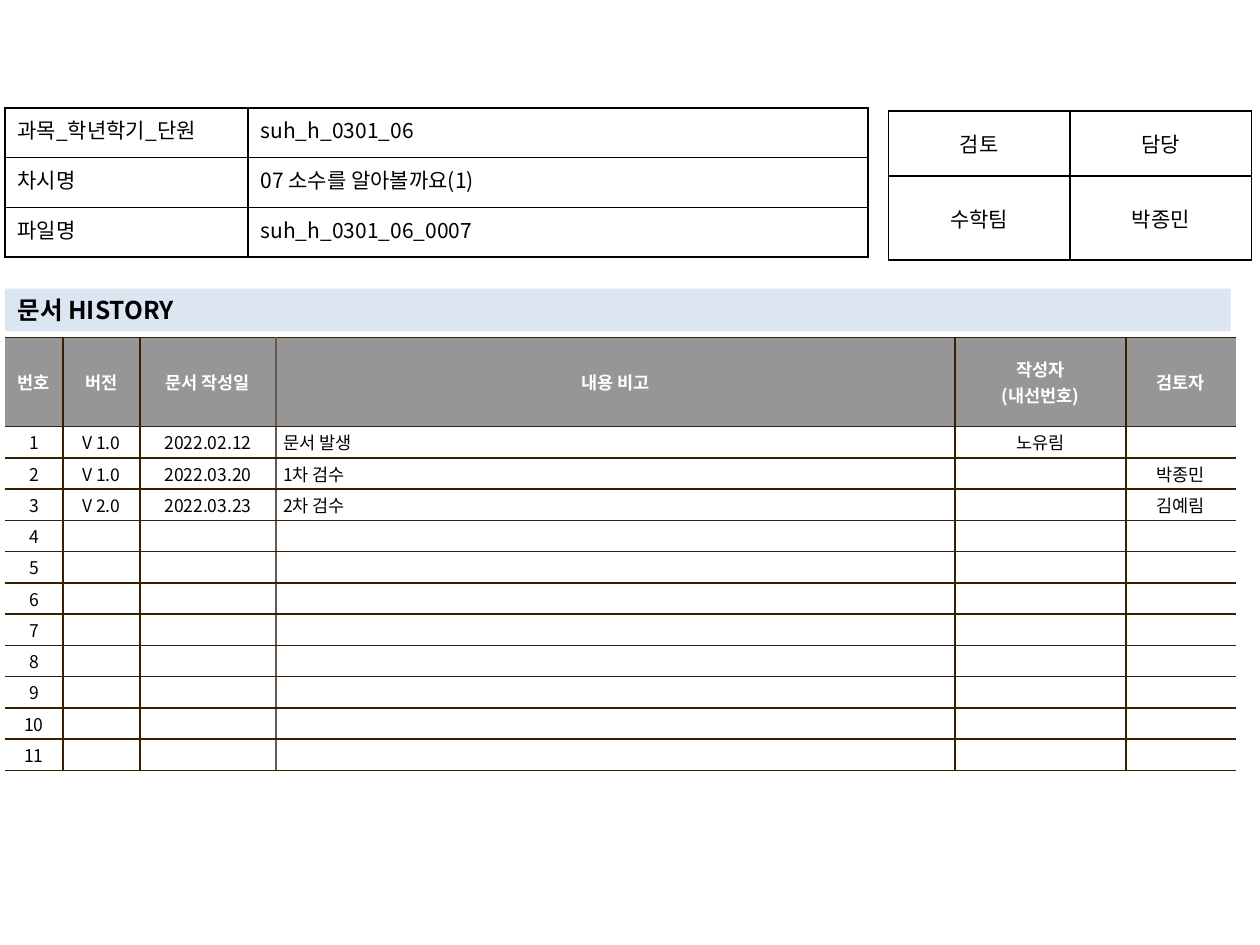
from lxml.etree import SubElement
from pptx import Presentation
from pptx.dml.color import RGBColor
from pptx.enum.text import MSO_ANCHOR, MSO_AUTO_SIZE, PP_ALIGN
from pptx.oxml import parse_xml
from pptx.oxml.ns import nsdecls, qn
from pptx.util import Cm, Pt

FONT = "Noto Sans CJK KR"
BLACK, WHITE, GRAY, PALE_BLUE = "000000", "FFFFFF", "969696", "DCE6F2"
BROWN, LIGHT_BROWN = "362000", "645B4C"

HISTORY = [
    ["번호", "버전", "문서 작성일", "내용 비고", "작성자\n(내선번호)", "검토자"],
    ["1", "V 1.0", "2022.02.12", "문서 발생", "노유림", ""],
    ["2", "V 1.0", "2022.03.20", "1차 검수", "", "박종민"],
    ["3", "V 2.0", "2022.03.23", "2차 검수", "", "김예림"],
] + [[str(number), "", "", "", "", ""] for number in range(4, 12)]


def color(hex_value):
    return RGBColor.from_string(hex_value)


def write(frame, text, size, ink=BLACK, bold=False, align=PP_ALIGN.LEFT):
    frame.text = text
    for paragraph in frame.paragraphs:
        paragraph.alignment = align
        for run in paragraph.runs:
            run.font.size, run.font.bold = Pt(size), bold
            run.font.name = FONT
            run.font.color.rgb = color(ink)
            SubElement(run.font._element, qn("a:ea"), typeface=FONT)
        if not paragraph.runs:
            SubElement(paragraph._p, qn("a:endParaRPr"), sz=str(size * 100))


def set_borders(cell, left, right, top, bottom):
    properties = cell._tc.get_or_add_tcPr()
    for index, (side, ink) in enumerate(zip("LRTB", (left, right, top, bottom))):
        paint = (f'<a:solidFill><a:srgbClr val="{ink}"/></a:solidFill>'
                 if ink else "<a:noFill/>")
        properties.insert(index, parse_xml(
            f'<a:ln{side} {nsdecls("a")} w="12700">{paint}</a:ln{side}>'))


def add_grid(slide, left, top, widths, heights):
    grid = slide.shapes.add_table(
        len(heights), len(widths), Cm(left), Cm(top),
        Cm(sum(widths)), Cm(sum(heights))).table
    grid.first_row = grid.horz_banding = False
    for column, width in zip(grid.columns, widths):
        column.width = Cm(width)
    for row, height in zip(grid.rows, heights):
        row.height = Cm(height)
    return grid


def add_label_table(slide, left, top, widths, heights, texts, aligns, anchor):
    grid = add_grid(slide, left, top, widths, heights)
    for row, row_texts in enumerate(texts):
        for column, text in enumerate(row_texts):
            cell = grid.cell(row, column)
            cell.fill.background()
            cell.vertical_anchor = anchor
            write(cell.text_frame, text, 12, align=aligns[column])
            set_borders(cell, *[BLACK] * 4)


def add_history_heading(slide, left, top, width, height):
    heading = slide.shapes.title
    heading.left, heading.top = Cm(left), Cm(top)
    heading.width, heading.height = Cm(width), Cm(height)
    heading.fill.solid()
    heading.fill.fore_color.rgb = color(PALE_BLUE)
    frame = heading.text_frame
    frame.auto_size = MSO_AUTO_SIZE.NONE
    frame.word_wrap = True
    frame.vertical_anchor = MSO_ANCHOR.MIDDLE
    write(frame, "문서 HISTORY", 14, bold=True)


def add_history_table(slide, left, top, widths, header_height, row_height):
    heights = [header_height] + [row_height] * (len(HISTORY) - 1)
    grid = add_grid(slide, left, top, widths, heights)
    dividers = [None, BROWN, BROWN, LIGHT_BROWN, BROWN, BROWN, None]
    note_column = 3
    for row, entry in enumerate(HISTORY):
        header = row == 0
        for column, text in enumerate(entry):
            cell = grid.cell(row, column)
            cell.margin_left = cell.margin_right = Cm(0.15)
            cell.margin_top = cell.margin_bottom = Cm(0.05)
            cell.vertical_anchor = MSO_ANCHOR.MIDDLE
            cell.fill.solid()
            cell.fill.fore_color.rgb = color(GRAY if header else WHITE)
            is_note = column == note_column and not header
            write(cell.text_frame, text, 10, WHITE if header else BLACK, header,
                  PP_ALIGN.LEFT if is_note else PP_ALIGN.CENTER)
            set_borders(cell, dividers[column], dividers[column + 1], BROWN, BROWN)


def main():
    deck = Presentation()
    deck.slide_width, deck.slide_height = Cm(25.4), Cm(19.05)
    slide = deck.slides.add_slide(deck.slide_layouts[5])
    add_label_table(
        slide, 17.91, 2.24, [3.66, 3.66], [1.31, 1.69],
        [["검토", "담당"], ["수학팀", "박종민"]],
        [PP_ALIGN.CENTER] * 2, MSO_ANCHOR.MIDDLE)
    add_history_heading(slide, 0.1, 5.82, 24.71, 0.86)
    add_history_table(slide, 0.1, 6.8, [1.17, 1.55, 2.74, 13.69, 3.45, 2.21], 1.8, 0.63)
    add_label_table(
        slide, 0.1, 2.18, [4.9, 12.5], [1, 1, 1],
        [["과목_학년학기_단원", "suh_h_0301_06"],
         ["차시명", "07 소수를 알아볼까요(1)"],
         ["파일명", "suh_h_0301_06_0007"]],
        [PP_ALIGN.JUSTIFY, PP_ALIGN.LEFT], MSO_ANCHOR.TOP)
    deck.save("out.pptx")


if __name__ == "__main__":
    main()
